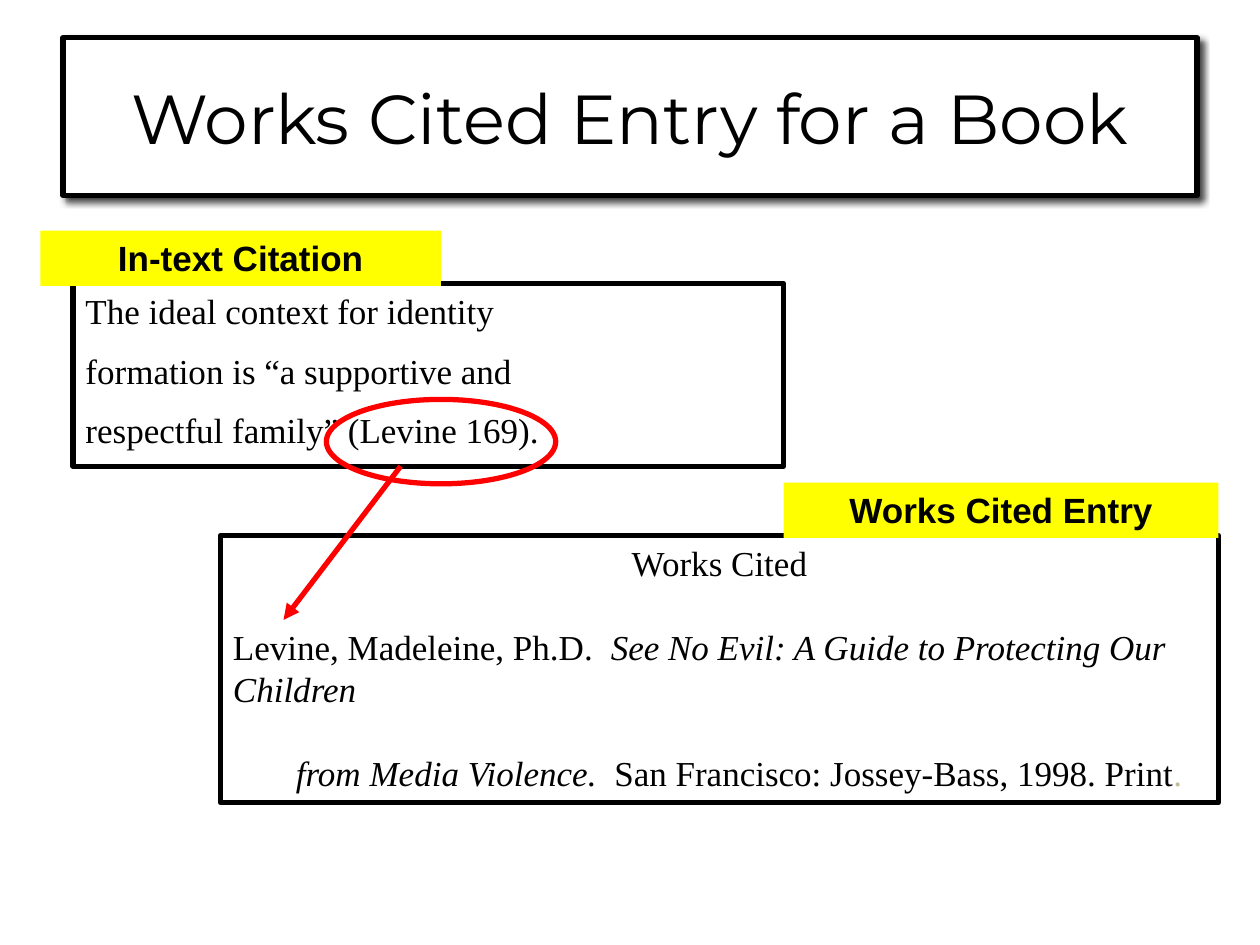
from lxml.etree import SubElement
from pptx import Presentation
from pptx.dml.color import RGBColor
from pptx.enum.shapes import MSO_CONNECTOR, MSO_SHAPE
from pptx.enum.text import MSO_ANCHOR, PP_ALIGN
from pptx.oxml.ns import qn
from pptx.util import Inches, Pt

BLACK = RGBColor(0, 0, 0)
WHITE = RGBColor(255, 255, 255)
RED = RGBColor(255, 0, 0)
YELLOW = RGBColor(255, 255, 0)
TAN = RGBColor(0xC4, 0xBD, 0x97)

SERIF = "Times New Roman"
LEFT, CENTER = PP_ALIGN.LEFT, PP_ALIGN.CENTER

TITLE = [(CENTER, 0, [("Works Cited Entry for a Book", False, BLACK)])]
CITATION = [(LEFT, 0, [(line, False, BLACK)]) for line in (
    "The ideal context for identity",
    "formation is “a supportive and",
    "respectful family” (Levine 169).",
)]
ENTRY = [
    (CENTER, 0, [("Works Cited", False, BLACK)]),
    (LEFT, 0, [
        ("Levine, Madeleine, Ph.D.  ", False, BLACK),
        ("See No Evil: A Guide to Protecting Our Children", True, BLACK),
    ]),
    (LEFT, 0.5, [
        ("from Media Violence.", True, BLACK),
        ("  San Francisco: Jossey-Bass, 1998. Print", False, BLACK),
        (".", False, TAN),
    ]),
]
LABELS = [
    ("In-text Citation", (0.32, 1.83, 3.18, 0.44)),
    ("Works Cited Entry", (6.22, 3.83, 3.45, 0.44)),
]


def add_box(shapes, kind, place, fill=None, line=None):
    sp = shapes.add_shape(kind, *map(Inches, place))
    sp.shadow.inherit = False
    if fill is None:
        sp.fill.background()
    else:
        sp.fill.solid()
        sp.fill.fore_color.rgb = fill
    if line is None:
        sp.line.fill.background()
    else:
        sp.line.color.rgb = line
        sp.line.width = Pt(3)
    return sp


def write(sp, paragraphs, font, size, gap=0, bold=False, anchor=MSO_ANCHOR.TOP):
    tf = sp.text_frame
    tf.word_wrap = True
    tf.vertical_anchor = anchor
    for i, (align, indent, runs) in enumerate(paragraphs):
        p = tf.add_paragraph() if i else tf.paragraphs[0]
        p.alignment = align
        if i:
            p.space_before = Pt(gap)
        if indent:
            p._p.get_or_add_pPr().set("indent", str(Inches(indent)))
        for text, italic, color in runs:
            r = p.add_run()
            r.text = text
            r.font.name = font
            r.font.size = Pt(size)
            r.font.bold = bold
            r.font.italic = italic
            r.font.color.rgb = color


def add_shadow(sp):
    effects = sp._element.spPr.find(qn("a:effectLst"))
    shadow = SubElement(effects, qn("a:outerShdw"), blurRad=str(Pt(4)),
                        dist=str(Pt(3)), dir=str(49 * 60000), rotWithShape="0")
    color = SubElement(shadow, qn("a:srgbClr"), val=str(BLACK))
    SubElement(color, qn("a:alpha"), val="72000")


def add_arrow(shapes, start, end):
    cx = shapes.add_connector(MSO_CONNECTOR.STRAIGHT, *map(Inches, start + end))
    cx.line.color.rgb = RED
    cx.line.width = Pt(3)
    SubElement(cx.line._get_or_add_ln(), qn("a:tailEnd"), type="triangle")
    SubElement(cx._element.spPr, qn("a:effectLst"))


def main():
    prs = Presentation()
    prs.slide_width, prs.slide_height = Inches(10), Inches(7.5)
    s = prs.slides.add_slide(prs.slide_layouts[6])
    rect = MSO_SHAPE.RECTANGLE

    title = add_box(s.shapes, rect, (0.5, 0.3, 9, 1.25), WHITE, BLACK)
    add_shadow(title)
    write(title, TITLE, "Montserrat", 39.6, anchor=MSO_ANCHOR.MIDDLE)

    citation = add_box(s.shapes, rect, (0.58, 2.25, 5.64, 1.45), WHITE, BLACK)
    write(citation, CITATION, SERIF, 20, gap=10)

    entry = add_box(s.shapes, rect, (1.75, 4.25, 7.92, 2.12), WHITE, BLACK)
    write(entry, ENTRY, SERIF, 20, gap=24)

    pointer = s.shapes.add_group_shape()
    add_box(pointer.shapes, MSO_SHAPE.OVAL, (2.59, 3.17, 1.82, 0.67), line=RED)
    add_arrow(pointer.shapes, (3.18, 3.7), (2.25, 4.92))

    for text, place in LABELS:
        label = add_box(s.shapes, rect, place, YELLOW)
        write(label, [(CENTER, 0, [(text, False, BLACK)])], "Arial", 20, bold=True)

    prs.save("out.pptx")


if __name__ == "__main__":
    main()
